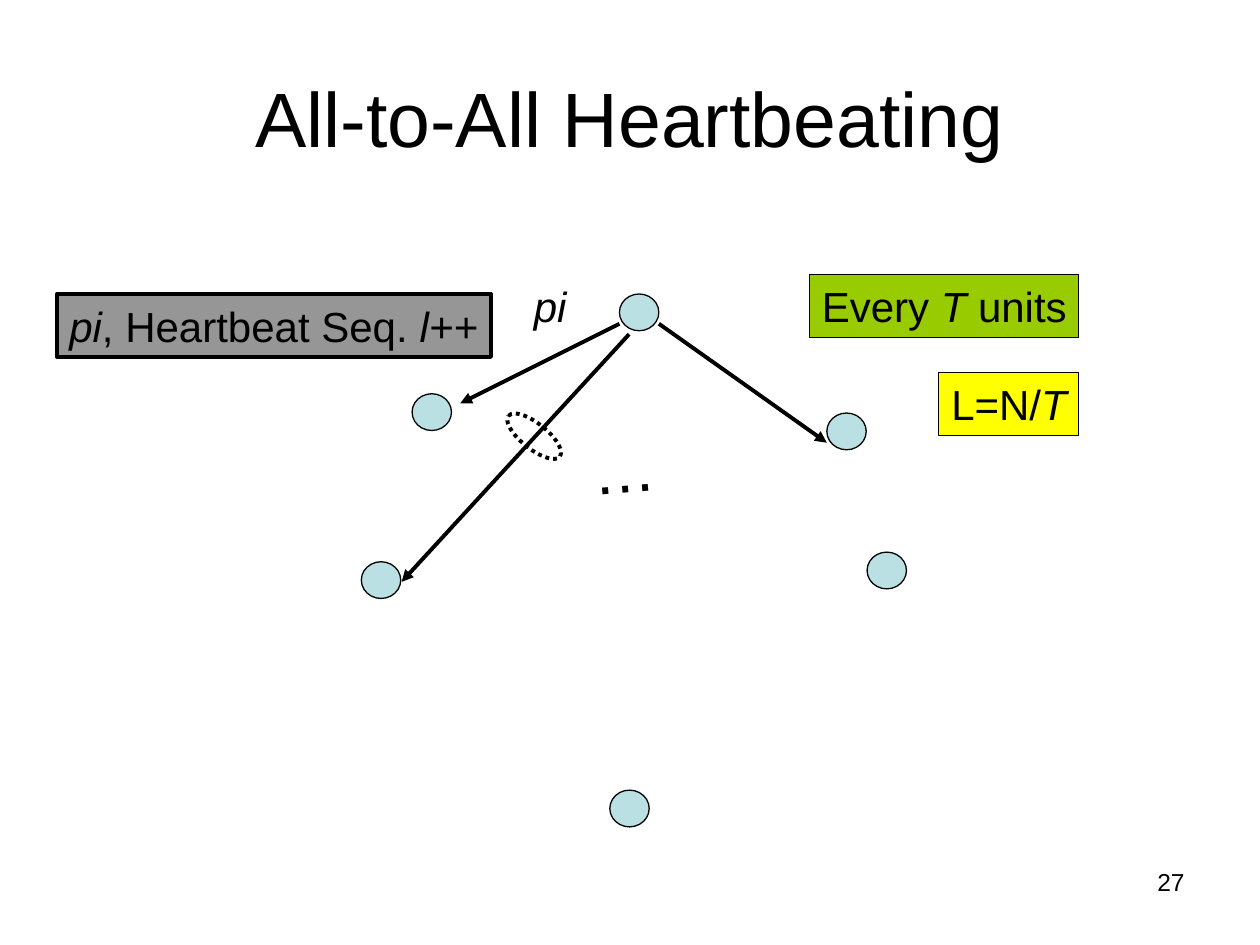
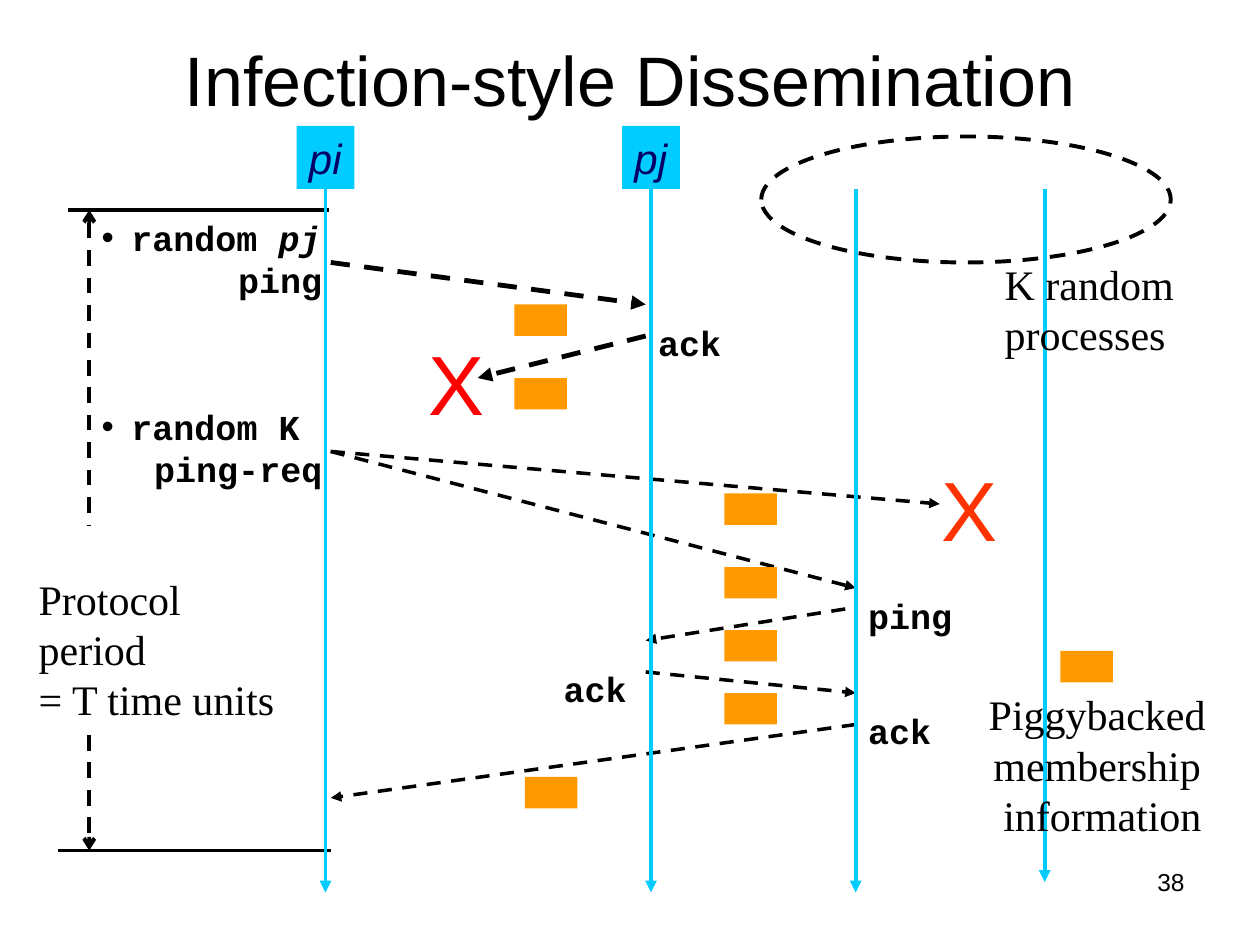
from dataclasses import dataclass
from typing import NamedTuple

from lxml import etree
from pptx import Presentation
from pptx import util as u
from pptx.dml.color import RGBColor
from pptx.enum import dml, shapes, text
from pptx.oxml import ns

DASH = dml.MSO_LINE.DASH
DOT = dml.MSO_LINE.ROUND_DOT
RECT = shapes.MSO_SHAPE.RECTANGLE
OVAL = shapes.MSO_SHAPE.OVAL
LEFT, CENTER, RIGHT = text.PP_ALIGN.LEFT, text.PP_ALIGN.CENTER, text.PP_ALIGN.RIGHT
BOTTOM_SIDE = 2


@dataclass(frozen=True)
class Theme:
    black: str = "000000"
    node: str = "BBE0E3"
    message: str = "969696"
    period: str = "99CC00"
    load: str = "FFFF00"
    lifeline: str = "00CCFF"
    process_name: str = "000066"
    piggyback: str = "FF9900"
    lost_ack: str = "FF0000"
    lost_request: str = "FF3300"
    sans: str = "Arial"
    serif: str = "Times New Roman"
    mono: str = "Courier New"
    label: int = 24
    step: int = 20
    page_number: int = 14
    ellipsis: int = 36
    cross: int = 48
    thin: float = 0.75
    medium: float = 2
    thick: float = 2.25
    heavy: float = 2.75


THEME = Theme()


class Box(NamedTuple):
    left: float
    top: float
    width: float
    height: float

    def inside(self, x, y, width, height):
        return Box(self.left + x, self.top + y, width, height)

    def point(self, x, y):
        return self.left + x, self.top + y


# Shared drawing helpers

def apply(target, values):
    for name, value in values.items():
        setattr(target, name, value)


def write(shape, paras, size=THEME.label, font=THEME.sans, color=THEME.black,
          bold=False, align=LEFT, wrap=True, middle=False, bullet=False):
    """Each paragraph is a list of (text, italic) spans."""
    frame = shape.text_frame
    apply(frame, {
        "word_wrap": wrap,
        "auto_size": text.MSO_AUTO_SIZE.NONE,
        "vertical_anchor": text.MSO_ANCHOR.MIDDLE if middle else text.MSO_ANCHOR.TOP,
    })
    for index, spans in enumerate(paras):
        para = frame.add_paragraph() if index else frame.paragraphs[0]
        para.alignment = align
        if bullet:
            add_bullet(para)
        for words, italic in spans:
            span = para.add_run()
            span.text = words
            apply(span.font, {"size": u.Pt(size), "name": font,
                              "bold": bold, "italic": italic})
            span.font.color.rgb = RGBColor.from_string(color)


def add_bullet(para, indent=17):
    props = para._p.get_or_add_pPr()
    props.set("marL", str(u.Pt(indent)))
    props.set("indent", str(-u.Pt(indent)))
    etree.SubElement(props, ns.qn("a:buFont")).set("typeface", THEME.sans)
    etree.SubElement(props, ns.qn("a:buChar")).set("char", "•")


def add_text(page, box, *lines, italic=False, **style):
    shape = page.shapes.add_textbox(*map(u.Pt, box))
    write(shape, [[(line, italic)] for line in lines], **style)
    return shape


def add_shape(page, kind, box, fill=None, line=None, dash=None):
    shape = page.shapes.add_shape(kind, *map(u.Pt, box))
    shape.shadow.inherit = False
    if fill:
        shape.fill.solid()
        shape.fill.fore_color.rgb = RGBColor.from_string(fill)
    else:
        shape.fill.background()
    if line:
        set_line(shape.line, line, THEME.black, dash)
    else:
        shape.line.fill.background()
    return shape


def set_line(line, width, color, dash):
    line.color.rgb = RGBColor.from_string(color)
    apply(line, {"width": u.Pt(width), "dash_style": dash})


def add_line(page, start, end, width=THEME.thick, color=THEME.black,
             dash=None, arrow=None, arrow_at="a:tailEnd"):
    line = page.shapes.add_connector(
        shapes.MSO_CONNECTOR.STRAIGHT, *map(u.Pt, (*start, *end)))
    set_line(line.line, width, color, dash)
    if arrow:
        outline = line.line._get_or_add_ln()
        etree.SubElement(outline, ns.qn(arrow_at)).set("type", arrow)
    etree.SubElement(line._element.spPr, ns.qn("a:effectLst"))
    return line


def add_page(deck, title, title_box, title_size, number):
    page = deck.slides.add_slide(deck.slide_layouts[6])
    add_text(page, Box(516, 492, 168, 37), number,
             size=THEME.page_number, align=RIGHT)
    add_text(page, title_box, title, size=title_size, align=CENTER, middle=True)
    return page


# Heartbeating slide

def draw_process_ring(page, box):
    nodes = [(266, 79), (29, 68), (0, 164), (289, 158.5), (147.5, 11), (142, 294.5)]
    for x, y in nodes:
        add_shape(page, OVAL, box.inside(x, y, 22.5, 21), THEME.node, THEME.thin)

    heartbeats = [((153, 34), (23, 175.5)),
                  ((147.5, 28), (56.5, 73.5)),
                  ((170, 28), (266, 96))]
    for start, end in heartbeats:
        add_line(page, box.point(*start), box.point(*end), arrow="triangle")

    bundle = add_shape(page, OVAL, box.inside(80, 85, 37.5, 14.5),
                       line=THEME.thick, dash=DOT)
    bundle.rotation = 38.5
    more = add_text(page, box.inside(125, 85, 50.5, 50.5), "…",
                    size=THEME.ellipsis, wrap=False)
    more.rotation = 355.4
    add_text(page, box.inside(91.5, 0, 33, 36), "pi", italic=True, wrap=False)


def draw_heartbeat_labels(page, box):
    right = box.width
    labels = [
        (0, 11, 248, THEME.message, THEME.thick,
         [("pi", True), (", Heartbeat Seq. ", False), ("l++", True)]),
        (right - 154, 0, 154, THEME.period, THEME.thin,
         [("Every ", False), ("T", True), (" units", False)]),
        (right - 80, 56, 80, THEME.load, THEME.thin,
         [("L=N/", False), ("T", True)]),
    ]
    for x, y, width, fill, line, spans in labels:
        label = add_shape(page, RECT, box.inside(x, y, width, 36), fill, line)
        write(label, [spans], wrap=False)


# Dissemination slide

def add_step(page, box, words, **style):
    return add_text(page, box, words, size=THEME.step, font=THEME.mono,
                    bold=True, **style)


def add_piggyback(page, box, x, y):
    add_shape(page, RECT, box.inside(x, y, 30, 18), THEME.piggyback)


def draw_protocol_period(page, box):
    end = box.height
    add_text(page, box.inside(0, 204, 162.5, 94), "Protocol period",
             "= T time units", font=THEME.serif)

    # Limits of the period and the span between them
    add_line(page, box.point(24, 0), box.point(173, 0))
    add_line(page, box.point(18, end), box.point(174, end))
    spans = [(0, 180, "a:headEnd"), (300, end, "a:tailEnd")]
    for top, bottom, arrow_at in spans:
        add_line(page, box.point(36, top), box.point(36, bottom),
                 dash=DASH, arrow="arrow", arrow_at=arrow_at)

    # Steps taken by the first process
    first = page.shapes.add_textbox(*map(u.Pt, box.inside(36, 0, 150, 31.5)))
    write(first, [[("random ", False), ("pj", True)]], size=THEME.step,
          font=THEME.mono, bold=True, bullet=True)
    add_step(page, box.inside(114, 24, 62.5, 31.5), "ping", wrap=False)
    add_step(page, box.inside(36, 108, 132, 31.5), "random K", bullet=True)
    add_step(page, box.inside(66, 132, 120, 31.5), "ping-req")


def draw_sequence(page, box):
    pi, pj, helper, last = 0, 186, 303, 411
    gap = 3

    # Messages
    messages = [
        ((pi + gap, 78), (pj - gap, 102), THEME.heavy),
        ((pj - gap, 120), (87, 144), THEME.heavy),
        ((pi + gap, 186), (helper, 264), THEME.medium),
        ((pi + gap, 186), (351, 216), THEME.medium),
        ((helper - 6, 276), (pj - gap, 294), THEME.medium),
        ((pj - gap, 312), (helper, 324), THEME.medium),
        ((helper, 342), (pi + gap, 384), THEME.medium),
    ]
    for start, end, width in messages:
        add_line(page, box.point(*start), box.point(*end), width,
                 dash=DASH, arrow="triangle")
    for x, y, color in [(51.5, 114, THEME.lost_ack), (345, 186, THEME.lost_request)]:
        add_text(page, box.inside(x, y, 46, 65), "X", size=THEME.cross,
                 color=color, wrap=False)
    for x, y, width, words in [(helper, 264, 74, "ping"), (pj - gap, 108, 74, "ack"),
                               (129, 306, 54, "ack"), (helper, 330, 54, "ack")]:
        add_step(page, box.inside(x, y, width, 31.5), words)

    # Lifelines, two of them hanging from a named process
    lifelines = [(pi, 438, "pi"), (pj, 438, "pj"), (helper, 438, None), (last, 432, None)]
    for x, bottom, name in lifelines:
        lifeline = add_line(page, box.point(x, 36), box.point(x, bottom),
                            color=THEME.lifeline, arrow="triangle")
        if name:
            process = add_shape(page, RECT, box.inside(x - 16.5, 0, 33, 36),
                                THEME.lifeline)
            write(process, [[(name, True)]], color=THEME.process_name, wrap=False)
            lifeline.begin_connect(process, BOTTOM_SIDE)

    # Random helpers
    add_shape(page, OVAL, box.inside(249, 6, 234, 72), line=THEME.thick, dash=DASH)
    add_text(page, box.inside(381, 72, 111, 65), "K random", "processes",
             font=THEME.serif, wrap=False)

    # Piggybacked information on the messages
    for x, y in [(108, 102), (108, 144), (114, 372),
                 (228, 210), (228, 252), (228, 288), (228, 324)]:
        add_piggyback(page, box, x, y)


def draw_legend(page, box):
    add_piggyback(page, box, 48, 0)
    add_text(page, box.inside(0, 18, box.width, 94), "Piggybacked ", "membership ",
             "information", font=THEME.serif, align=CENTER, wrap=False)


def main():
    deck = Presentation()
    apply(deck, {"slide_width": u.Pt(720), "slide_height": u.Pt(540)})

    page = add_page(deck, "All-to-All Heartbeating", Box(36, 21.5, 648, 90), 44, "27")
    draw_process_ring(page, Box(206.5, 157, 312, 316))
    draw_heartbeat_labels(page, Box(32.5, 157, 584, 92))

    page = add_page(deck, "Infection-style Dissemination", Box(54, 18, 612, 54), 40, "38")
    draw_protocol_period(page, Box(15, 120, 174, 366))
    draw_sequence(page, Box(186, 72, 492, 438))
    draw_legend(page, Box(558, 372, 144, 112))

    deck.save("out.pptx")


if __name__ == "__main__":
    main()
